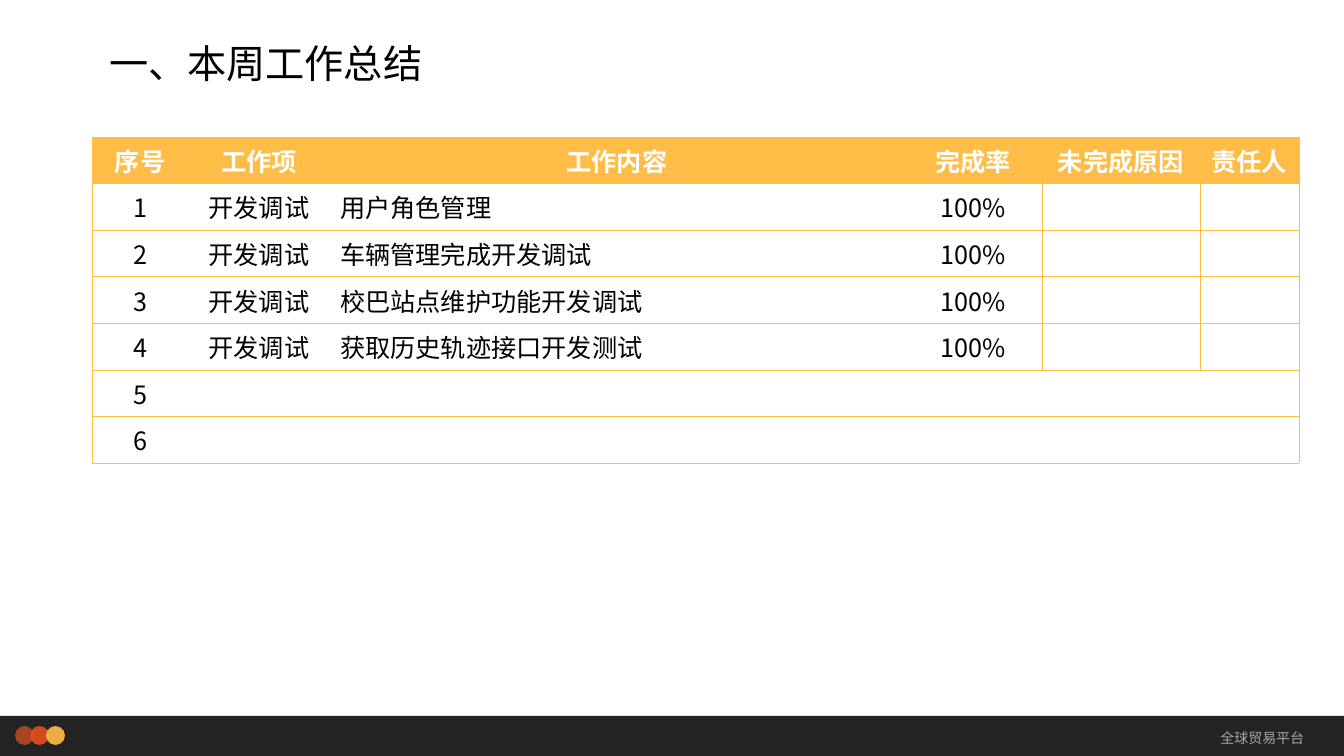
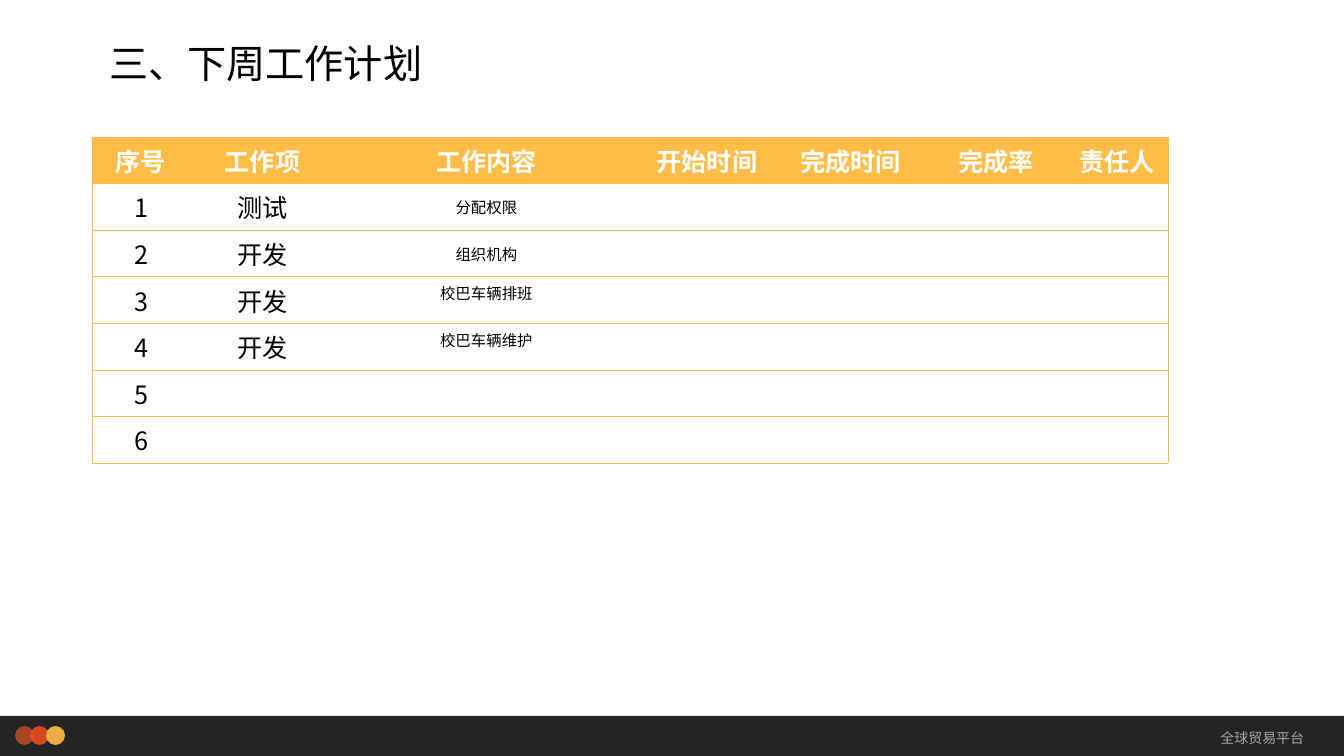
"""Build a two-page weekly work report with one shared footer, title and table style."""
import dataclasses
from typing import Any

import lxml.etree
import pptx
import pptx.dml.color
import pptx.enum.shapes
import pptx.enum.text
import pptx.oxml.ns
import pptx.slide
import pptx.table
import pptx.text.text
import pptx.util

WIDTH, HEIGHT = 1344, 756
SCALE = 12192000 / WIDTH
FONT = "Noto Sans CJK SC"
BLACK, WHITE, GREY, CHARCOAL = "000000", "FFFFFF", "A6A6A6", "0D0D0D"
RUST, RED, AMBER = "B64926", "E84C22", "FFBD47"
OPACITY = 90
TABLE_LEFT, TABLE_TOP, ROW_HEIGHT = 92, 137, 46
RULE_WIDTH = 0.5
BODY_SIZE, NOTE_SIZE = 18, 11

Align = pptx.enum.text.PP_ALIGN
Anchor = pptx.enum.text.MSO_ANCHOR
Preset = pptx.enum.shapes.MSO_SHAPE
qn = pptx.oxml.ns.qn


@dataclasses.dataclass(frozen=True)
class Mark:
    """A filled shape of the footer."""
    preset: Any
    left: int
    top: int
    width: int
    height: int
    color: str


@dataclasses.dataclass(frozen=True)
class Report:
    """A titled work table."""
    title: str
    columns: tuple[int, ...]
    headings: tuple[str, ...]
    rows: tuple[tuple[str, ...], ...]
    content_span: int = 1
    content_align: Any = Align.CENTER
    content_size: int = BODY_SIZE
    centered_rows: tuple[int, ...] = ()
    ruled_columns: tuple[int, ...] = ()
    ruled_rows: tuple[int, ...] = ()


CONTENT = 2
DOT_SIZE = 19
FOOTER = (
    Mark(Preset.RECTANGLE, 0, 716, WIDTH, 40, CHARCOAL),
    *(Mark(Preset.OVAL, left, 726, DOT_SIZE, DOT_SIZE, color)
      for left, color in ((15, RUST), (30, RED), (46, AMBER))),
)
REPORTS = (
    Report(
        title="一、本周工作总结",
        columns=(96, 142, 295, 134, 145, 138, 158, 99),
        headings=("序号", "工作项", "工作内容", "", "", "完成率", "未完成原因", "责任人"),
        rows=(
            ("1", "开发调试", "用户角色管理", "", "", "100%"),
            ("2", "开发调试", "车辆管理完成开发调试", "", "", "100%"),
            ("3", "开发调试", "校巴站点维护功能开发调试", "", "", "100%"),
            ("4", "开发调试", "获取历史轨迹接口开发测试", "", "", "100%"),
            ("5",),
            ("6",),
        ),
        content_span=3,
        content_align=Align.LEFT,
        ruled_columns=(6, 7),
        ruled_rows=(1, 2, 3, 4),
    ),
    Report(
        title="三、下周工作计划",
        columns=(98, 145, 303, 138, 149, 142, 101),
        headings=("序号", "工作项", "工作内容", "开始时间", "完成时间", "完成率", "责任人"),
        rows=(
            ("1", "测试", "分配权限"),
            ("2", "开发", "组织机构"),
            ("3", "开发", "校巴车辆排班"),
            ("4", "开发", "校巴车辆维护"),
            ("5",),
            ("6",),
        ),
        content_size=NOTE_SIZE,
        centered_rows=(1, 2),
    ),
)


def px(*lengths: int) -> list[pptx.util.Emu]:
    """Turn pixels into EMU."""
    return [pptx.util.Emu(round(length * SCALE)) for length in lengths]


def rgb(color: str) -> pptx.dml.color.RGBColor:
    """Turn a hex string into a colour."""
    return pptx.dml.color.RGBColor.from_string(color)


def write(frame: pptx.text.text.TextFrame, text: str, *, size: int, color: str,
          bold: bool = False, align: Any = Align.LEFT, spacing: float = 1.0) -> None:
    """Put one formatted line of text into a frame."""
    para = frame.paragraphs[0]
    para.alignment = align
    para.line_spacing = spacing
    span = para.add_run()
    span.text = text
    span.font.size = pptx.util.Pt(size)
    span.font.bold = bold
    span.font.color.rgb = rgb(color)
    span.font.name = FONT
    east_asian = lxml.etree.SubElement(span.font._element, qn("a:ea"))
    east_asian.set("typeface", FONT)


def draw_mark(page: pptx.slide.Slide, mark: Mark) -> Any:
    """Draw one translucent footer shape."""
    shape = page.shapes.add_shape(mark.preset, *px(mark.left, mark.top, mark.width, mark.height))
    shape.shadow.inherit = False
    shape.line.fill.background()
    shape.fill.solid()
    shape.fill.fore_color.rgb = rgb(mark.color)
    tint = shape.element.spPr.find(f"{qn('a:solidFill')}/{qn('a:srgbClr')}")
    lxml.etree.SubElement(tint, qn("a:alpha")).set("val", str(OPACITY * 1000))
    return shape


def draw_footer(page: pptx.slide.Slide) -> None:
    """Draw the footer and move it to the layout of the page."""
    parts = [draw_mark(page, mark) for mark in FOOTER]
    box = page.shapes.add_textbox(*px(1086, 716, 228, 44))
    box.text_frame.word_wrap = True
    box.text_frame.vertical_anchor = Anchor.MIDDLE
    write(box.text_frame, "全球贸易平台", size=10, color=GREY, align=Align.RIGHT)
    for part in [*parts, box]:
        page.slide_layout.shapes.element.append(part.element)


def draw_title(page: pptx.slide.Slide, text: str) -> None:
    """Place and fill the title placeholder."""
    title = page.shapes.title
    title.left, title.top, title.width, title.height = px(99, 15, 1008, 77)
    frame = title.text_frame
    frame.auto_size = pptx.enum.text.MSO_AUTO_SIZE.NONE
    frame.vertical_anchor = Anchor.BOTTOM
    write(frame, text, size=28, color=BLACK, spacing=0.9)


def set_borders(cell: Any, sides: str) -> None:
    """Rule the named sides (L, R, T, B) of a cell and clear the others."""
    properties = cell._tc.get_or_add_tcPr()
    for side in "LRTB":
        line = lxml.etree.SubElement(properties, qn(f"a:ln{side}"))
        line.set("w", str(pptx.util.Pt(RULE_WIDTH)))
        if side in sides:
            fill = lxml.etree.SubElement(line, qn("a:solidFill"))
            lxml.etree.SubElement(fill, qn("a:srgbClr")).set("val", AMBER)
        else:
            lxml.etree.SubElement(line, qn("a:noFill"))


def style_cell(cell: Any, report: Report, row: int, column: int) -> None:
    """Set the borders and fill of one cell."""
    ruled = report.ruled_columns if row in report.ruled_rows else ()
    sides = "TB"
    if column == 0 or column in ruled:
        sides += "L"
    if column == len(report.columns) - 1 or column + 1 in ruled:
        sides += "R"
    set_borders(cell, sides)
    if row == 0:
        cell.fill.solid()
        cell.fill.fore_color.rgb = rgb(AMBER)
    else:
        cell.fill.background()


def fill_cell(cell: Any, report: Report, row: int, column: int, text: str) -> None:
    """Write the text of one cell."""
    if row == 0:
        write(cell.text_frame, text, size=BODY_SIZE, color=WHITE, bold=True, align=Align.CENTER)
        return
    is_content = column == CONTENT
    if is_content and row in report.centered_rows:
        cell.vertical_anchor = Anchor.MIDDLE
        cell.margin_left = cell.margin_right = cell.margin_top = cell.margin_bottom = 0
    write(cell.text_frame, text, color=BLACK,
          size=report.content_size if is_content else BODY_SIZE,
          align=report.content_align if is_content else Align.CENTER)


def draw_table(page: pptx.slide.Slide, report: Report) -> None:
    """Draw the work table of a report."""
    lines = (report.headings, *report.rows)
    table = page.shapes.add_table(
        len(lines), len(report.columns),
        *px(TABLE_LEFT, TABLE_TOP, sum(report.columns), ROW_HEIGHT * len(lines))).table
    table.horz_banding = False
    for column, width in zip(table.columns, px(*report.columns)):
        column.width = width
    for row, texts in enumerate(lines):
        for column in range(len(report.columns)):
            style_cell(table.cell(row, column), report, row, column)
        for column, text in enumerate(texts):
            if text:
                fill_cell(table.cell(row, column), report, row, column, text)
        if report.content_span > 1 and len(texts) > CONTENT:
            last = table.cell(row, CONTENT + report.content_span - 1)
            table.cell(row, CONTENT).merge(last)


def main() -> None:
    """Build and save the deck."""
    deck = pptx.Presentation()
    deck.slide_width, deck.slide_height = px(WIDTH, HEIGHT)
    layout = deck.slide_layouts.get_by_name("Title Only")
    for number, report in enumerate(REPORTS):
        page = deck.slides.add_slide(layout)
        if number == 0:
            draw_footer(page)
        draw_title(page, report.title)
        draw_table(page, report)
    deck.save("out.pptx")


main()
